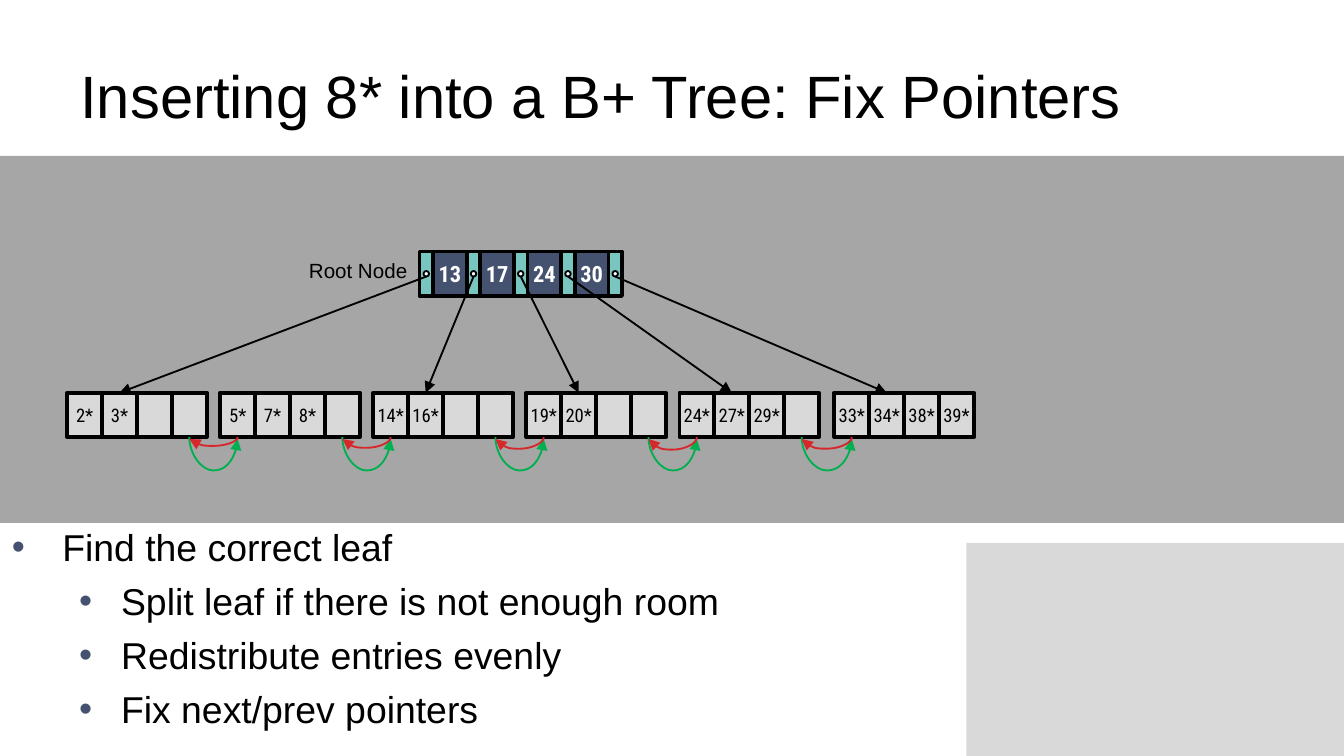
from lxml import etree
from pptx import Presentation
from pptx.dml.color import RGBColor
from pptx.enum import shapes as sh, text as tx
from pptx.oxml.ns import qn
from pptx.util import Pt

BLACK = RGBColor(0x00, 0x00, 0x00)
WHITE = RGBColor(0xFF, 0xFF, 0xFF)
LIGHT = RGBColor(0xD9, 0xD9, 0xD9)
GRAY = RGBColor(0xA6, 0xA6, 0xA6)
NAVY = RGBColor(0x44, 0x51, 0x6F)
TEAL = RGBColor(0x79, 0xC6, 0xC1)
GREEN = RGBColor(0x00, 0xB0, 0x50)
RED = RGBColor(0xD6, 0x27, 0x2A)

RECT = sh.MSO_SHAPE.RECTANGLE
OVAL = sh.MSO_SHAPE.OVAL
STRAIGHT = sh.MSO_CONNECTOR.STRAIGHT
CURVE = sh.MSO_CONNECTOR.CURVE

KEYS = ["13", "17", "24", "30"]
ROOT_X, ROOT_Y = 224.8, 134.8
SLOT_W, KEY_W, NODE_H, DOT = 7.2, 18.1, 23.8, 2.9

LEAVES = [
    (36, ["2*", "3*", "", ""]),
    (118, ["5*", "7*", "8*", ""]),
    (200, ["14*", "16*", "", ""]),
    (282, ["19*", "20*", "", ""]),
    (364, ["24*", "27*", "29*", ""]),
    (447, ["33*", "34*", "38*", "39*"]),
]
LEAF_Y, CELL_W = 210.4, 18.7
CHILDREN = [0, 2, 3, 4, 5]
NEXT_DEPTH = 18
PREV_DEPTHS = [4.72, 5.75, 6.26, 6.77, 6.24]

BULLETS = [
    (0, "Find the correct leaf"),
    (1, "Split leaf if there is not enough room"),
    (1, "Redistribute entries evenly"),
    (1, "Fix next/prev pointers"),
]
INDENTS = [(27, -27), (58.5, -22.5)]


class Deck:
    font = "Arial"
    node_font = "Roboto Condensed"

    def __init__(self, prs):
        self.s = prs.slides.add_slide(prs.slide_layouts[6])

    def group(self):
        return self.s.shapes.add_group_shape().shapes

    def style(self, p, size, color=BLACK, font=font, bold=False):
        for r in p.runs:
            r.font.size, r.font.name, r.font.bold = Pt(size), font, bold
            r.font.color.rgb = color

    def shape(self, x, y, w, h, fill, line=0, kind=RECT, parent=None):
        parent = self.s.shapes if parent is None else parent
        sp = parent.add_shape(kind, Pt(x), Pt(y), Pt(w), Pt(h))
        sp.shadow.inherit = False
        sp.fill.solid()
        sp.fill.fore_color.rgb = fill
        if line:
            sp.line.color.rgb = BLACK
            sp.line.width = Pt(line)
        else:
            sp.line.fill.background()
        return sp

    def cell(self, parent, x, y, w, label, fill, size, color, bold=False):
        sp = self.shape(x, y, w, NODE_H, fill, 2, parent=parent)
        if label:
            tf = sp.text_frame
            tf.margin_left = tf.margin_right = 0
            tf.vertical_anchor = tx.MSO_ANCHOR.MIDDLE
            tf.text = label
            p = tf.paragraphs[0]
            p.alignment = tx.PP_ALIGN.CENTER
            self.style(p, size, color, self.node_font, bold)

    def text(self, x, y, w, h, value, size, wrap=True, anchor=tx.MSO_ANCHOR.TOP):
        tf = self.s.shapes.add_textbox(Pt(x), Pt(y), Pt(w), Pt(h)).text_frame
        tf.word_wrap = wrap
        tf.vertical_anchor = anchor
        tf.text = value
        for p in tf.paragraphs:
            self.style(p, size)
        return tf

    def bullets(self, x, y, w, h, items, size):
        tf = self.text(x, y, w, h, "\n".join(t for _, t in items), size)
        for p, (level, _) in zip(tf.paragraphs, items):
            p.level = level
            p.space_before = Pt(5)
            margin, indent = INDENTS[level]
            pr = p._p.get_or_add_pPr()
            pr.set("marL", str(Pt(margin)))
            pr.set("indent", str(Pt(indent)))
            clr = etree.SubElement(pr, qn("a:buClr"))
            etree.SubElement(clr, qn("a:srgbClr"), val=str(NAVY))
            etree.SubElement(pr, qn("a:buFont"), typeface=self.font)
            etree.SubElement(pr, qn("a:buChar"), char="•")

    def arrow(self, x1, y1, x2, y2, color=BLACK, kind=STRAIGHT):
        cxn = self.s.shapes.add_connector(kind, Pt(x1), Pt(y1), Pt(x2), Pt(y2))
        cxn.line.color.rgb = color
        cxn.line.width = Pt(1)
        pr = cxn._element.spPr
        etree.SubElement(pr.find(qn("a:ln")), qn("a:tailEnd"), type="triangle")
        etree.SubElement(pr, qn("a:effectLst"))
        return cxn

    def arc(self, x1, x2, y, depth, color):
        mid, half = (x1 + x2) / 2, abs(x2 - x1) / 2
        forward = x2 > x1
        dx = 0.5 if forward else -0.5
        cxn = self.arrow(mid + dx, y + 0.5 - half, mid - dx, y + 0.5 + half, color, CURVE)
        pr = cxn._element.spPr
        pr.find(qn("a:xfrm")).set("rot", str((270 if forward else 90) * 60000))
        geom = pr.find(qn("a:prstGeom"))
        av = geom.find(qn("a:avLst"))
        if av is None:
            av = etree.SubElement(geom, qn("a:avLst"))
        etree.SubElement(av, qn("a:gd"), name="adj1", fmla=f"val {round(depth * 100000)}")

    def root(self):
        g = self.group()
        step = SLOT_W + KEY_W
        dots = []
        for i, key in enumerate(KEYS):
            self.cell(g, ROOT_X + i * step + SLOT_W, ROOT_Y, KEY_W, key, NAVY, 12, WHITE, True)
        for i in range(len(KEYS) + 1):
            x = ROOT_X + i * step
            self.cell(g, x, ROOT_Y, SLOT_W, "", TEAL, 12, BLACK)
            self.shape(x + (SLOT_W - DOT) / 2, ROOT_Y + (NODE_H - DOT) / 2, DOT, DOT,
                       WHITE, 1, OVAL, g)
            dots.append(x + SLOT_W / 2)
        return dots

    def leaf(self, x, entries):
        g = self.group()
        for i, entry in enumerate(entries):
            self.cell(g, x + i * CELL_W, LEAF_Y, CELL_W, entry, LIGHT, 10, BLACK)


def main():
    prs = Presentation()
    prs.slide_width, prs.slide_height = Pt(720), Pt(405)
    d = Deck(prs)
    d.shape(517.7, 290.9, 202.3, 114.1, LIGHT)
    d.shape(0, 83.5, 720, 196.6, GRAY)
    d.text(36, 16.6, 648, 67.7, "Inserting 8* into a B+ Tree: Fix Pointers", 32,
           anchor=tx.MSO_ANCHOR.MIDDLE)

    dots = d.root()
    for x, entries in LEAVES:
        d.leaf(x, entries)
    for dot, child in zip(dots, CHILDREN):
        d.arrow(dot, ROOT_Y + (NODE_H + DOT) / 2, LEAVES[child][0] + 1.5 * CELL_W, LEAF_Y)
    d.text(158.4, 134.6, 68.4, 20.9, "Root Node", 11, wrap=False)

    bottom = LEAF_Y + NODE_H
    for (x1, _), (x2, _), depth in zip(LEAVES, LEAVES[1:], PREV_DEPTHS):
        last, first = x1 + 3.5 * CELL_W, x2 + 0.5 * CELL_W
        d.arc(last, first, bottom, NEXT_DEPTH, GREEN)
        d.arc(first, last, bottom, depth, RED)

    d.bullets(-0.7, 277.2, 648, 235.4, BULLETS, 20)
    prs.save("out.pptx")


if __name__ == "__main__":
    main()
